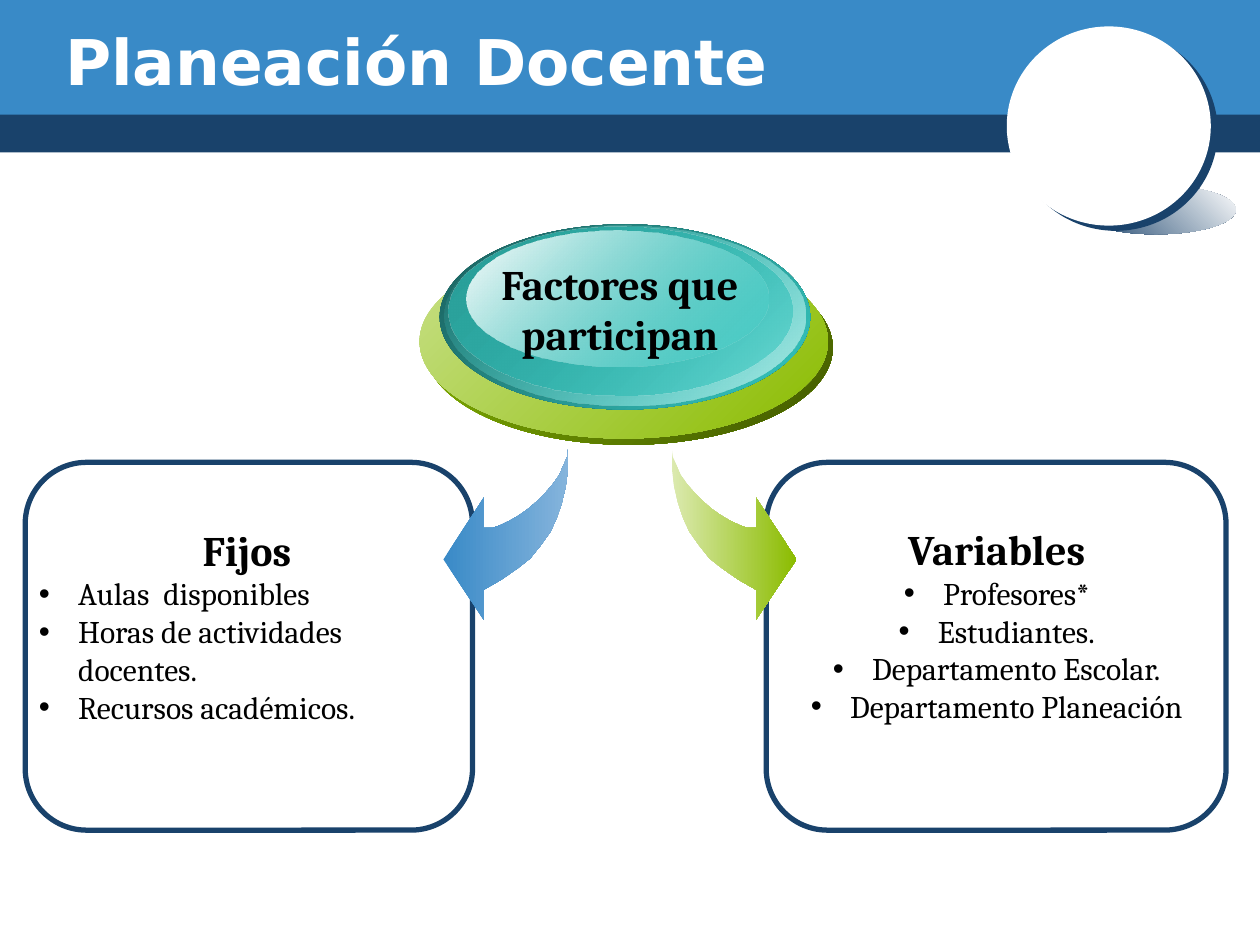
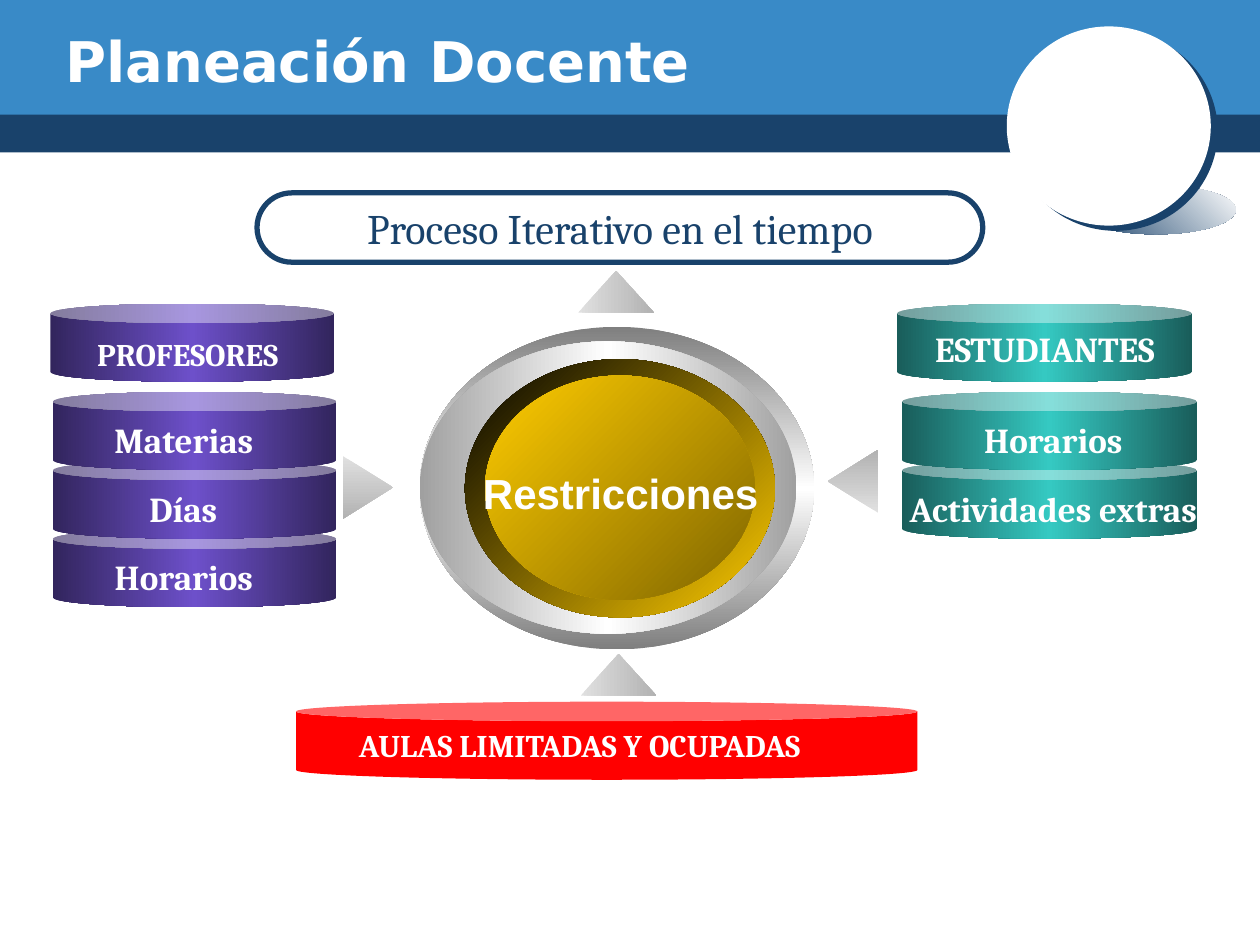
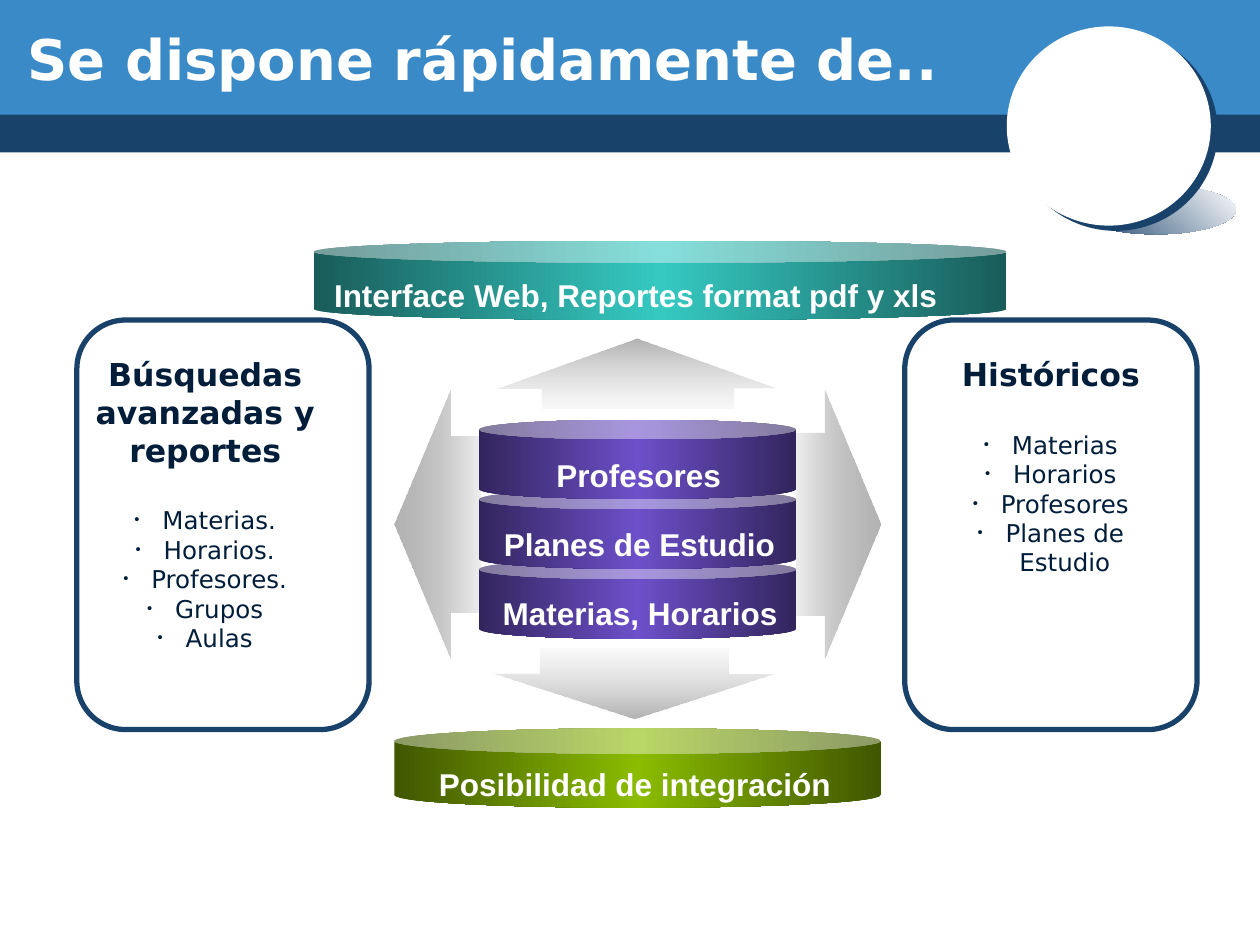
from lxml import etree
from pptx import Presentation
from pptx.dml.color import RGBColor
from pptx.enum import shapes, text
from pptx.oxml.ns import qn
from pptx.util import Pt

NAVY = RGBColor(0x19, 0x42, 0x6B)
BLUE = RGBColor(0x39, 0x8A, 0xC7)
PALE_BLUE = RGBColor(0x85, 0xB4, 0xDC)
INK = RGBColor(0x00, 0x1D, 0x3A)
WHITE = RGBColor(0xFF, 0xFF, 0xFF)
BLACK = RGBColor(0x00, 0x00, 0x00)
GREEN = RGBColor(0x8B, 0xBC, 0x00)
DARK_GREEN = RGBColor(0x40, 0x57, 0x00)
SOFT_GREEN = RGBColor(0xC8, 0xE0, 0x88)
PALE_GREEN = RGBColor(0xDC, 0xEA, 0xB0)
TEAL = RGBColor(0x35, 0xC9, 0xC2)
MID_TEAL = RGBColor(0x2A, 0xA0, 0x9A)
DARK_TEAL = RGBColor(0x19, 0x5D, 0x5A)
PALE_TEAL = RGBColor(0xB0, 0xEA, 0xE6)
PURPLE = RGBColor(0x6D, 0x50, 0xCA)
DARK_PURPLE = RGBColor(0x32, 0x25, 0x5D)
GOLD = RGBColor(0xFF, 0xCC, 0x00)
DARK_GOLD = RGBColor(0x7F, 0x65, 0x00)
RED = RGBColor(0xFF, 0x00, 0x00)
SILVER = RGBColor(0xB2, 0xB2, 0xB2)
PALE_SILVER = RGBColor(0xE0, 0xE0, 0xE0)
MIST = RGBColor(0xD2, 0xD2, 0xD2)
STEEL = RGBColor(0x7F, 0x7F, 0x7F)
PEWTER = RGBColor(0xA0, 0xA0, 0xA0)

PURPLE_CAN = (DARK_PURPLE, PURPLE, DARK_PURPLE)
TEAL_CAN = (DARK_TEAL, TEAL, DARK_TEAL)
GREEN_CAN = (DARK_GREEN, GREEN, DARK_GREEN)

KIND = shapes.MSO_SHAPE
LEFT, CENTER = text.PP_ALIGN.LEFT, text.PP_ALIGN.CENTER


def paint(shape, *colors, angle=0, line=None, adjust=()):
    shape.shadow.inherit = False
    for index, value in enumerate(adjust):
        shape.adjustments[index] = value
    if line:
        shape.line.color.rgb = line
        shape.line.width = Pt(3)
    else:
        shape.line.fill.background()
    if not colors:
        shape.fill.background()
    elif len(colors) == 1:
        shape.fill.solid()
        shape.fill.fore_color.rgb = colors[0]
    else:
        shape.fill.gradient()
        shape.fill.gradient_angle = (360 - angle) % 360
        stops = shape.element.spPr.find(".//" + qn("a:gsLst"))
        stops.clear()
        for index, color in enumerate(colors):
            color, opacity = color if isinstance(color[0], RGBColor) else (color, 100)
            stop = etree.SubElement(stops, qn("a:gs"), pos=str(index * 100000 // (len(colors) - 1)))
            tone = etree.SubElement(stop, qn("a:srgbClr"), val=str(color))
            if opacity < 100:
                etree.SubElement(tone, qn("a:alpha"), val=str(opacity * 1000))
    return shape


def write(box, words, size=18, font="Cambria", color=WHITE, bold=True, align=CENTER,
          wrap=False, middle=False, bullets=(), bullet_size=18, bullet_align=CENTER,
          indent=22.5, dot=100, gap=0):
    frame = box.text_frame
    frame.word_wrap = wrap
    frame.vertical_anchor = text.MSO_ANCHOR.MIDDLE if middle else text.MSO_ANCHOR.TOP
    heads = words.split("\n")
    for index, line in enumerate([*heads, *bullets]):
        para = frame.paragraphs[0] if index == 0 else frame.add_paragraph()
        is_bullet = index >= len(heads)
        para.alignment = bullet_align if is_bullet else align
        span = para.add_run()
        span.text = line
        span.font.name = font
        span.font.size = Pt(bullet_size if is_bullet else size)
        span.font.bold = bold and not is_bullet
        span.font.color.rgb = color
        if is_bullet:
            if index == len(heads):
                para.space_before = Pt(gap)
            props = para._p.get_or_add_pPr()
            props.set("marL", str(Pt(indent)))
            props.set("indent", str(-Pt(indent)))
            etree.SubElement(props, qn("a:buSzPct"), val=str(dot * 1000))
            etree.SubElement(props, qn("a:buFont"), typeface="Arial")
            etree.SubElement(props, qn("a:buChar"), char="•")


deck = Presentation()
deck.slide_width, deck.slide_height = Pt(720), Pt(540)

pages = []
for title, size, left, top in [
    ("Planeación Docente", 36, 30.2, 12.2),
    ("Planeación Docente", 32, 30.2, 12.2),
    ("Se dispone rápidamente de..", 32, 8.6, 10.8),
]:
    page = deck.slides.add_slide(deck.slide_layouts[6])
    for kind, at, colors in [
        (KIND.RECTANGLE, (0, 62.6, 720, 24.5), [NAVY]),
        (KIND.RECTANGLE, (0, 0, 720, 65.5), [BLUE]),
        (KIND.OVAL, (614.9, 105.8, 91.4, 28.1), [NAVY, WHITE]),
        (KIND.OVAL, (575.3, 15.1, 116.6, 113.8), [WHITE]),
    ]:
        badge = paint(page.shapes.add_shape(kind, *map(Pt, at)), *colors, angle=315)
    effects = badge.element.spPr.find(qn("a:effectLst"))
    shadow = etree.SubElement(effects, qn("a:outerShdw"), dist=str(Pt(5)), dir="2220000",
                              algn="ctr", rotWithShape="0")
    etree.SubElement(shadow, qn("a:srgbClr"), val=str(NAVY))
    box = page.shapes.add_textbox(Pt(left), Pt(top), Pt(581.8), Pt(44.6))
    write(box, title, size=size, font="DejaVu Sans", align=LEFT, wrap=True, middle=True)
    pages.append(page)
factors, limits, results = pages

for left, width in [(437.8, 331.2 - 68.4 + 0.0), (14.4, 255.6)]:
    panel = factors.shapes.add_shape(KIND.ROUNDED_RECTANGLE, Pt(left), Pt(264.2), Pt(width), Pt(210.2))
    paint(panel, line=NAVY, adjust=[0.167])

for at, head, bullets, align in [
    ((15.1, 295.9, 252, 123.8), "Fijos",
     ["Aulas  disponibles", "Horas de actividades docentes.", "Recursos académicos."], LEFT),
    ((445, 295.5, 249.1, 123.8), "Variables",
     ["Profesores*", "Estudiantes.", "Departamento Escolar.", "Departamento Planeación"], CENTER),
]:
    box = factors.shapes.add_textbox(*map(Pt, at))
    write(box, head, size=24, color=BLACK, wrap=True, bullets=bullets, bullet_align=align)

curve = [
    (324.7, 256.3), (324.7, 267.1), (323.3, 277.9), (321.1, 287.3), (318.2, 295.9),
    (314.6, 303.8), (308.9, 311.8), (303.1, 319), (295.9, 324.7), (286.6, 331.2),
    (276.5, 337), (276.5, 354.2), (253.4, 319.7), (276.5, 284.4), (276.5, 301.7),
    (281.5, 301.7), (285.8, 300.2), (291.6, 297.4), (296.6, 294.5), (301.7, 290.9),
    (306.7, 286.6), (311.8, 281.5), (316.1, 276.5), (319.7, 271.4), (321.8, 266.4),
    (324, 261.4),
]
mirrored = [(708.5 - x, y) for x, y in curve]
for outline, colors in [(curve, (BLUE, PALE_BLUE)), (mirrored, (PALE_GREEN, GREEN))]:
    points = [(Pt(x), Pt(y)) for x, y in outline]
    builder = factors.shapes.build_freeform(*points[0])
    builder.add_line_segments(points[1:], close=True)
    paint(builder.convert_to_shape(), *colors)

for at, colors in [
    ((242.6, 143.3, 233.3, 110.9), (GREEN, DARK_GREEN)),
    ((239.8, 139.7, 233.3, 110.9), (SOFT_GREEN, GREEN)),
    ((251.3, 128.2, 211.7, 105.8), (DARK_TEAL, TEAL)),
    ((254.2, 128.9, 205.9, 103), ((TEAL, 0), PALE_TEAL)),
    ((256.3, 129.6, 196.6, 96.5), (MID_TEAL, (TEAL, 48))),
    ((266.4, 131.8, 172.8, 77.8), (WHITE, (TEAL, 38))),
]:
    paint(factors.shapes.add_shape(KIND.OVAL, *map(Pt, at)), *colors, angle=45)
box = factors.shapes.add_textbox(Pt(277.9), Pt(144), Pt(152.6), Pt(65.5))
write(box, "Factores que\nparticipan", size=24, color=BLACK)

for at, turn in [
    ((192.2, 264.2, 36, 28.8), 90),
    ((469.4, 260.6, 36, 28.8), 270),
    ((331.9, 373.7, 43.2, 23.8), 0),
    ((330.5, 154.8, 43.2, 23.8), 0),
]:
    pointer = limits.shapes.add_shape(KIND.UP_ARROW, *map(Pt, at))
    pointer.rotation = turn
    paint(pointer, PALE_SILVER, SILVER, adjust=[0.517, 1])

for at, colors, angle in [
    ((239.8, 186.8, 225.4, 184.3), (STEEL, WHITE, STEEL), 90),
    ((239.8, 195.1, 215.3, 167), (PEWTER, WHITE, PEWTER), 0),
    ((265.7, 205.2, 177.1, 147.6), (BLACK, GOLD), 45),
    ((277.2, 214.6, 154.1, 128.2), (GOLD, DARK_GOLD), 45),
]:
    paint(limits.shapes.add_shape(KIND.OVAL, *map(Pt, at)), *colors, angle=angle)
box = limits.shapes.add_textbox(Pt(247), Pt(263.5), Pt(215.3), Pt(36.7))
write(box, "Restricciones", size=24, font="Arial")

pill = limits.shapes.add_shape(KIND.ROUNDED_RECTANGLE, Pt(146.9), Pt(110.2), Pt(414.7), Pt(39.6))
paint(pill, WHITE, line=NAVY, adjust=[0.5])
write(pill, "Proceso Iterativo en el tiempo", size=24, color=NAVY, bold=False, middle=True)

for left, top, width, colors in [
    (30.2, 302.4, 162, PURPLE_CAN),
    (30.2, 263.2, 162, PURPLE_CAN),
    (30.2, 223.9, 162, PURPLE_CAN),
    (28.8, 173.5, 162, PURPLE_CAN),
    (515.5, 263.2, 168.5, TEAL_CAN),
    (515.5, 223.9, 168.5, TEAL_CAN),
    (512.6, 173.5, 168.5, TEAL_CAN),
    (169.2, 401, 355, [RED]),
]:
    can = limits.shapes.add_shape(KIND.CAN, Pt(left), Pt(top), Pt(width), Pt(44.6))
    paint(can, *colors, adjust=[0.25])

for words, left, top, width, size in [
    ("PROFESORES", 38.9, 187.9, 136.8, 18),
    ("Materias", 57.6, 235.4, 95, 20),
    ("Días", 76.3, 275, 56.9, 20),
    ("Horarios", 57.6, 313.9, 95, 20),
    ("ESTUDIANTES", 515.5, 183.6, 163.4, 20),
    ("Horarios", 554.4, 235.4, 95, 20),
    ("Actividades extras", 510.5, 275, 182.9, 20),
]:
    write(limits.shapes.add_textbox(Pt(left), Pt(top), Pt(width), Pt(31.7)), words, size=size)
box = limits.shapes.add_textbox(Pt(198), Pt(411.1), Pt(323.3), Pt(28.8))
write(box, "AULAS LIMITADAS Y OCUPADAS", align=LEFT)

for kind, at, adjust, colors, angle in [
    (KIND.LEFT_ARROW, (225.4, 222.5, 49, 154.1), (0.656, 0.652), (SILVER, (STEEL, 12)), 0),
    (KIND.RIGHT_ARROW, (455, 222.5, 48.2, 154.1), (0.677, 0.662), ((STEEL, 12), SILVER), 0),
    (KIND.UP_ARROW, (284.4, 193.7, 159.8, 39.6), (0.684, 0.708), (SILVER, (MIST, 12)), 90),
    (KIND.DOWN_ARROW, (282.2, 370.8, 160.6, 39.6), (0.671, 0.641), ((MIST, 12), SILVER), 90),
]:
    paint(results.shapes.add_shape(kind, *map(Pt, at)), *colors, angle=angle, adjust=adjust)

for words, at, adjust, colors, label in [
    ("Materias, Horarios", (273.6, 319.7, 181.4), 0.25, PURPLE_CAN, (279.4, 336.2, 172.8)),
    ("Planes de Estudio", (273.6, 279.7, 181.4), 0.25, PURPLE_CAN, (266.4, 296.6, 198)),
    ("Profesores", (273.6, 239.8, 181.4), 0.25, PURPLE_CAN, (301.7, 257, 126.7)),
    ("Interface Web, Reportes format pdf y xls", (179.3, 137.5, 396), 0.279, TEAL_CAN,
     (179.3, 154.1, 367.9)),
    ("Posibilidad de integración", (225.4, 416.2, 277.9), 0.32, GREEN_CAN, (242.6, 433.4, 240.5)),
]:
    can = results.shapes.add_shape(KIND.CAN, *map(Pt, at), Pt(45.4))
    paint(can, *colors, adjust=[adjust])
    write(results.shapes.add_textbox(*map(Pt, label), Pt(28.8)), words, font="Arial")

for panel_left, at, head, bullets in [
    (43.9, (30.2, 199.4, 174.2, 179.3), "Búsquedas avanzadas y reportes",
     ["Materias.", "Horarios.", "Profesores.", "Grupos", "Aulas"]),
    (517, (524.2, 199.4, 152.6, 118.8), "Históricos",
     ["Materias", "Horarios", "Profesores", "Planes de Estudio"]),
]:
    panel = results.shapes.add_shape(KIND.ROUNDED_RECTANGLE, Pt(panel_left), Pt(182.9), Pt(167), Pt(234))
    paint(panel, line=NAVY, adjust=[0.167])
    write(results.shapes.add_textbox(*map(Pt, at)), head, font="DejaVu Sans", color=INK, wrap=True,
          bullets=bullets, bullet_size=14, indent=16, dot=60, gap=21)

deck.save("out.pptx")
